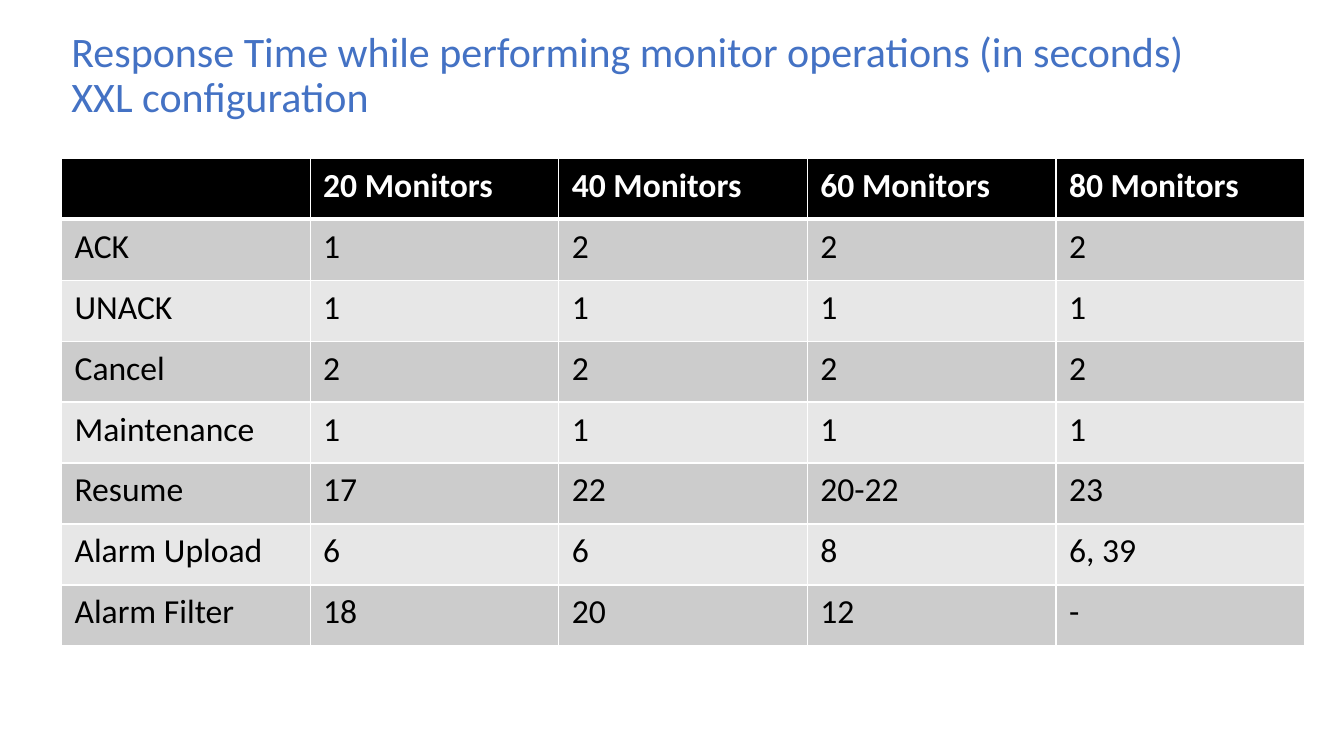
from lxml.etree import SubElement
from pptx import Presentation
from pptx.dml.color import RGBColor
from pptx.enum.text import MSO_ANCHOR
from pptx.oxml.ns import qn
from pptx.util import Inches, Pt

HUES = {
    "title": "4472C4",
    "head": "000000",
    "odd": "CCCCCC",
    "even": "E7E7E7",
    "white": "FFFFFF",
    "black": "000000",
}
ROWS = [
    ["", "20 Monitors", "40 Monitors", "60 Monitors", "80 Monitors"],
    ["ACK", "1", "2", "2", "2"],
    ["UNACK", "1", "1", "1", "1"],
    ["Cancel", "2", "2", "2", "2"],
    ["Maintenance", "1", "1", "1", "1"],
    ["Resume", "17", "22", "20-22", "23"],
    ["Alarm Upload", "6", "6", "8", "6, 39"],
    ["Alarm Filter", "18", "20", "12", "-"],
]


def write(frame, text, size=24, hue="black", bold=False, space=1.0):
    par = frame.paragraphs[0]
    par.text = text
    par.line_spacing = space
    for run in par.runs:
        run.font.name = "Calibri"
        run.font.size = Pt(size)
        run.font.bold = bold
        run.font.color.rgb = RGBColor.from_string(HUES[hue])


def edge(cell, sides):
    props = cell._tc.get_or_add_tcPr()
    for spot, (side, width) in enumerate(sides.items()):
        line = SubElement(props, qn("a:ln" + side), w=str(Pt(width)))
        fill = SubElement(line, qn("a:solidFill"))
        SubElement(fill, qn("a:srgbClr"), val=HUES["white"])
        props.insert(spot, line)


deck = Presentation()
deck.slide_width, deck.slide_height = Inches(13.33), Inches(7.5)
slide = deck.slides.add_slide(deck.slide_layouts[6])

left = Inches(0.61)
box = slide.shapes.add_textbox(left, Inches(0.53), Inches(12.12), Inches(0.45))
frame = box.text_frame
frame.word_wrap = True
frame.vertical_anchor = MSO_ANCHOR.MIDDLE
write(
    frame,
    "Response Time while performing monitor operations (in seconds)\vXXL configuration",
    size=30,
    hue="title",
    space=0.9,
)

table = slide.shapes.add_table(
    len(ROWS), len(ROWS[0]), left, Inches(1.57), Inches(12.33), Inches(4.84)
).table
for i, row in enumerate(ROWS):
    head = i == 0
    shade = "head" if head else "odd" if i % 2 else "even"
    for j, text in enumerate(row):
        cell = table.cell(i, j)
        cell.margin_left = cell.margin_right = Inches(0.13)
        cell.margin_top = cell.margin_bottom = Inches(0.07)
        cell.fill.solid()
        cell.fill.fore_color.rgb = RGBColor.from_string(HUES[shade])
        write(cell.text_frame, text, hue="white" if head else "black", bold=head)
        edge(cell, {"L": 1, "R": 1, "T": 3 if i == 1 else 1, "B": 3 if head else 1})

deck.save("out.pptx")
